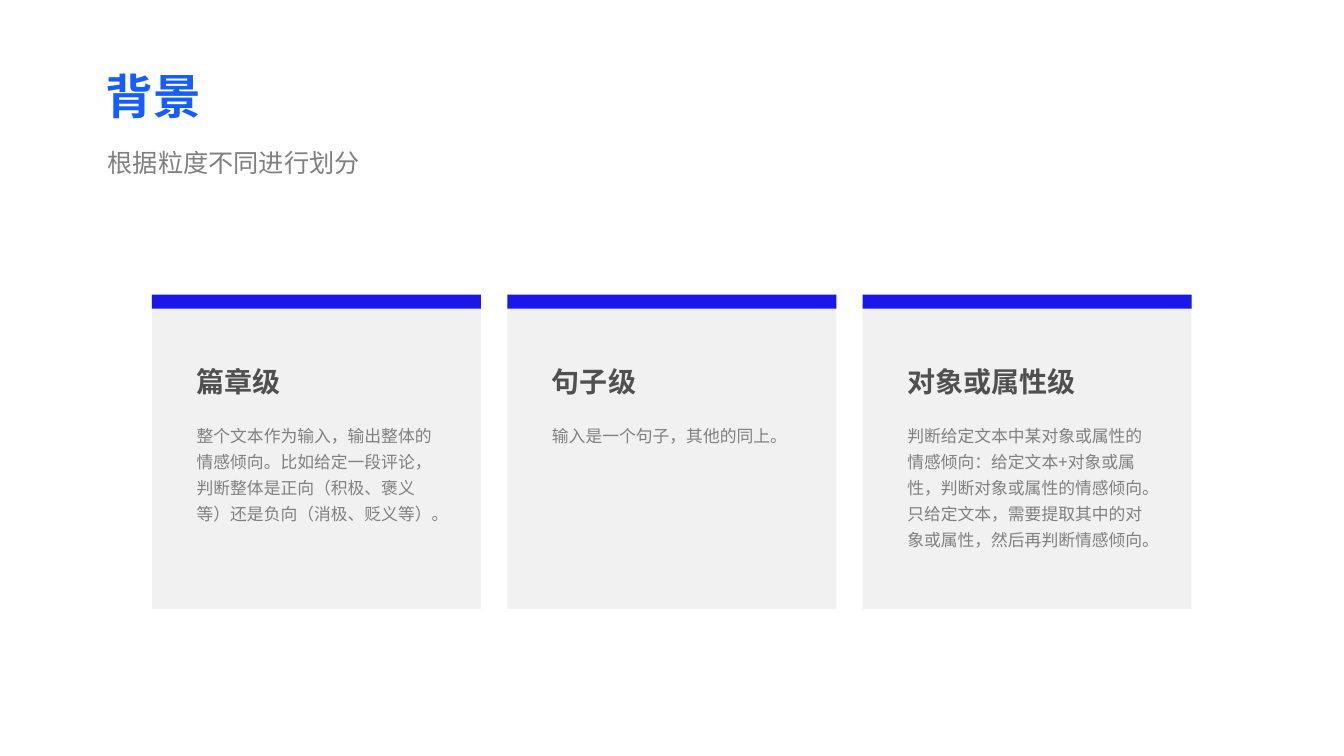
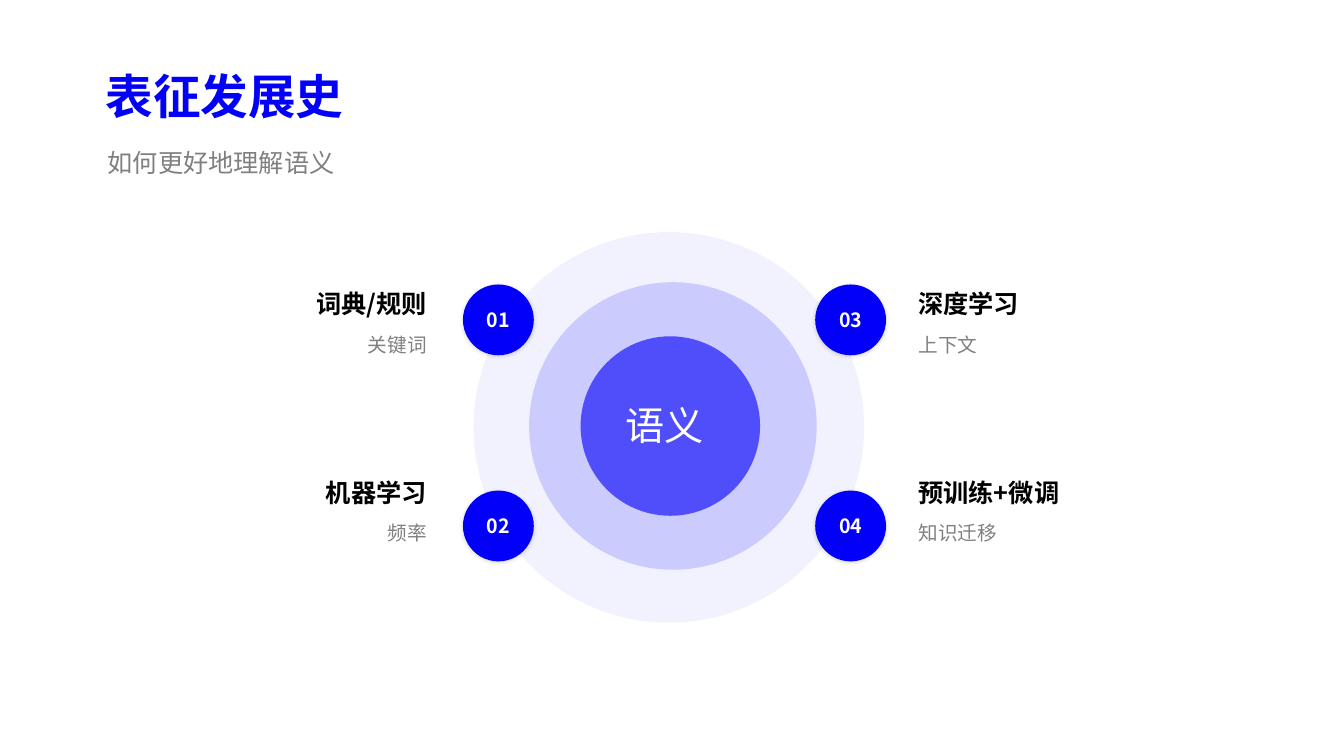
from dataclasses import dataclass

from lxml.etree import SubElement
from pptx import Presentation
from pptx.dml.color import RGBColor
from pptx.enum.lang import MSO_LANGUAGE_ID
from pptx.enum.shapes import MSO_SHAPE
from pptx.enum.text import MSO_ANCHOR, MSO_AUTO_SIZE, PP_ALIGN
from pptx.oxml.ns import qn
from pptx.util import Pt

FONT = "Noto Sans CJK SC"
COLORS = {
    "sky": "165DFF", "blue": "0300F9", "bar": "1918E8", "card": "D9D9D9",
    "ink": "0D0D0D", "black": "000000", "gray": "808080", "white": "FFFFFF",
}
SLIM = (0, 3, 17, 3)
PLAIN = (7.2, 3.6, 7.2, 3.6)
BARE = (0, 0, 0, 0)


@dataclass
class Card:
    head: str
    body: str


@dataclass
class Ring:
    left: float
    top: float
    size: float
    alpha: int


@dataclass
class Step:
    num: str
    head: str
    note: str
    row: int
    right: bool


CARDS = [
    Card("篇章级", "整个文本作为输入，输出整体的情感倾向。比如给定一段评论，"
         "判断整体是正向（积极、褒义等）还是负向（消极、贬义等）。"),
    Card("句子级", "输入是一个句子，其他的同上。"),
    Card("对象或属性级", "判断给定文本中某对象或属性的情感倾向：给定文本+对象或属性，"
         "判断对象或属性的情感倾向。只给定文本，需要提取其中的对象或属性，"
         "然后再判断情感倾向。"),
]
RINGS = [
    Ring(338.3, 165.8, 279, 5),
    Ring(378, 201.6, 205.4, 16),
    Ring(414.7, 240.2, 128.2, 61),
]
STEPS = [
    Step("01", "词典/规则", "关键词", 0, False),
    Step("02", "机器学习", "频率", 1, False),
    Step("03", "深度学习", "上下文", 0, True),
    Step("04", "预训练+微调", "知识迁移", 1, True),
]


def paint(fill, node, color: str, alpha: int = 100) -> None:
    """Set a solid fill; node is the XML element that holds it."""
    fill.solid()
    fill.fore_color.rgb = RGBColor.from_string(COLORS[color])
    if alpha < 100:
        tone = node.find(qn("a:solidFill")).find(qn("a:srgbClr"))
        SubElement(tone, qn("a:alpha"), val=str(alpha * 1000))


def setup(frame, inset=PLAIN, anchor=MSO_ANCHOR.TOP):
    frame.word_wrap = True
    frame.auto_size = MSO_AUTO_SIZE.NONE
    frame.vertical_anchor = anchor
    (frame.margin_left, frame.margin_top,
     frame.margin_right, frame.margin_bottom) = map(Pt, inset)
    return frame


def write(frame, text: str, *, size: float, color: str, bold: bool = False,
          alpha: int = 100, align=PP_ALIGN.LEFT, lines: float = 1.0) -> None:
    """Add one paragraph, spaced from any that stands before it."""
    first = not frame.text
    para = frame.paragraphs[0] if first else frame.add_paragraph()
    para.alignment = align
    para.line_spacing = lines
    para.space_before = Pt(0 if first else 10)
    run = para.add_run()
    run.text = text
    font = run.font
    font.size, font.bold, font.name = Pt(size), bold, FONT
    font.language_id = MSO_LANGUAGE_ID.SIMPLIFIED_CHINESE
    props = run._r.get_or_add_rPr()
    paint(font.fill, props, color, alpha)
    SubElement(props, qn("a:ea"), typeface=FONT)


def place(shape, left: float, top: float, width: float, height: float) -> None:
    shape.left, shape.top = Pt(left), Pt(top)
    shape.width, shape.height = Pt(width), Pt(height)


def box(shapes, left: float, top: float, width: float, height: float,
        inset=PLAIN):
    area = shapes.add_textbox(Pt(left), Pt(top), Pt(width), Pt(height))
    return setup(area.text_frame, inset)


def block(shapes, kind, left: float, top: float, width: float, height: float,
          color: str, alpha: int = 100):
    shape = shapes.add_shape(kind, Pt(left), Pt(top), Pt(width), Pt(height))
    shape.shadow.inherit = False
    shape.line.fill.background()
    paint(shape.fill, shape._element.spPr, color, alpha)
    return shape


def shade(shape) -> None:
    """Give the shape a soft shadow below."""
    effects = shape._element.spPr.find(qn("a:effectLst"))
    outer = SubElement(effects, qn("a:outerShdw"), blurRad=str(Pt(3)),
                       dist=str(Pt(1)), dir="5400000", algn="t",
                       rotWithShape="0")
    tone = SubElement(outer, qn("a:srgbClr"), val=COLORS["black"])
    SubElement(tone, qn("a:alpha"), val="15000")


def start(deck, title: str, sub: str, color: str):
    """Add a slide with its title and subtitle."""
    slide = deck.slides.add_slide(deck.slide_layouts[0])
    head, body = slide.placeholders
    place(head, 68.4, 23.8, 690.5, 64.8)
    write(setup(head.text_frame), title, size=34, color=color, bold=True,
          lines=1.5)
    place(body, 77, 95.8, 419, 33.8)
    write(setup(body.text_frame, SLIM), sub, size=18, color="gray", lines=1.3)
    return slide


def draw_card(slide, card: Card, left: float) -> None:
    top, width = 210.4, 235
    shapes = slide.shapes.add_group_shape().shapes
    block(shapes, MSO_SHAPE.RECTANGLE, left, top, width, 224.5, "card", 35)
    block(shapes, MSO_SHAPE.RECTANGLE, left, top, width, 10.2, "bar")
    write(box(shapes, left + 24.8, top + 39.5, 183, 39), card.head,
          size=20, color="ink", alpha=70, bold=True, lines=1.3)
    write(box(shapes, left + 24.8, top + 85.5, 183, 130), card.body,
          size=12, color="gray", lines=1.3)


def draw_step(slide, step: Step) -> None:
    dot = block(slide.shapes, MSO_SHAPE.OVAL, 582.3 if step.right else 330.7,
                203.2 + 147.2 * step.row, 50.6, 50.6, "blue")
    shade(dot)
    write(setup(dot.text_frame, BARE, MSO_ANCHOR.MIDDLE), step.num, size=14,
          color="white", bold=True, align=PP_ALIGN.CENTER)
    side = PP_ALIGN.LEFT if step.right else PP_ALIGN.RIGHT
    label = box(slide.shapes, 656 if step.right else 95.8,
                203 + 134.8 * step.row, 226, 55, SLIM)
    write(label, step.head, size=18, color="black", bold=True, align=side)
    write(label, step.note, size=14, color="gray", align=side)


def main() -> None:
    deck = Presentation()
    deck.slide_width, deck.slide_height = Pt(960), Pt(540)

    levels = start(deck, "背景", "根据粒度不同进行划分", "sky")
    for i, card in enumerate(CARDS):
        draw_card(levels, card, 108.6 + 253.8 * i)

    story = start(deck, "表征发展史", "如何更好地理解语义", "blue")
    for ring in RINGS:
        block(story.shapes, MSO_SHAPE.OVAL, ring.left, ring.top,
              ring.size, ring.size, "blue", ring.alpha)
    for step in STEPS:
        draw_step(story, step)
    write(box(story.shapes, 447, 273.6, 98, 49.7, SLIM), "语义", size=28,
          color="white", lines=1.3)

    deck.save("out.pptx")


if __name__ == "__main__":
    main()
